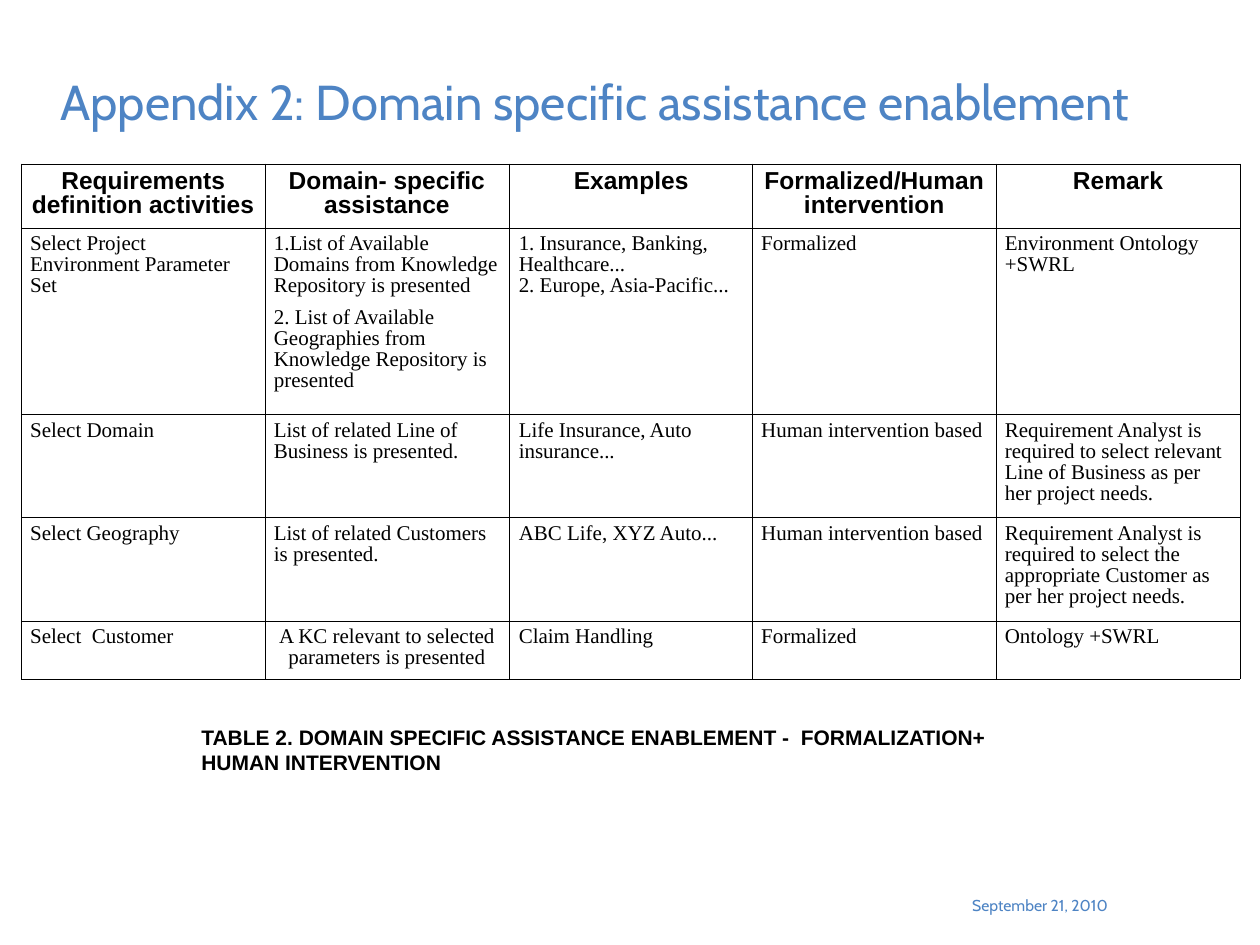
import pptx
import pptx.util
import pptx.dml.color
import pptx.enum.text
import pptx.oxml
import pptx.oxml.ns

COLORS = {"accent": "4E84C4", "ink": "000000"}
ALIGN = pptx.enum.text.PP_ALIGN
ANCHOR = pptx.enum.text.MSO_ANCHOR
AUTO = pptx.enum.text.MSO_AUTO_SIZE


def write(tf, text, font="Times New Roman", size=12, color="ink", bold=False,
          align=ALIGN.LEFT, line=1.0, after=0, indent=0):
    tf.word_wrap = True
    for i, part in enumerate(text.split("\n")):
        p = tf.paragraphs[0] if i == 0 else tf.add_paragraph()
        p.alignment = align
        p.line_spacing = line
        p.space_before = pptx.util.Pt(0)
        p.space_after = pptx.util.Pt(after)
        if indent:
            p._p.get_or_add_pPr().set("marL", str(pptx.util.Inches(indent)))
        r = p.add_run()
        r.text = part
        r.font.name = font
        r.font.size = pptx.util.Pt(size)
        r.font.bold = bold
        r.font.color.rgb = pptx.dml.color.RGBColor.from_string(COLORS[color])


def add_borders(cell):
    tcPr = cell._tc.get_or_add_tcPr()
    for i, side in enumerate(("lnL", "lnR", "lnT", "lnB")):
        tcPr.insert(i, pptx.oxml.parse_xml(
            f'<a:{side} {pptx.oxml.ns.nsdecls("a")} w="{pptx.util.Pt(0.11)}">'
            f'<a:solidFill><a:srgbClr val="{COLORS["ink"]}"/></a:solidFill></a:{side}>'))


prs = pptx.Presentation()
prs.slide_width = pptx.util.Inches(10)
prs.slide_height = pptx.util.Inches(7.5)
W, H = prs.slide_width, prs.slide_height
s = prs.slides.add_slide(prs.slide_layouts[5])

title = s.shapes.title
title.left, title.top = int(W * 0.038), int(H * 0.063)
title.width, title.height = int(W * 0.923), int(H * 0.087)
tf = title.text_frame
tf.auto_size = AUTO.NONE
tf.vertical_anchor = ANCHOR.MIDDLE
write(tf, "Appendix 2: Domain specific assistance enablement",
      font="Cabin", size=28, color="accent")

date = s.shapes.add_textbox(int(W * 0.735), int(H * 0.941), int(W * 0.154), int(H * 0.047))
write(date.text_frame, "September 21, 2010", font="Cabin", size=9, color="accent",
      align=ALIGN.RIGHT)

caption = s.shapes.add_textbox(int(W * 0.15), int(H * 0.76), int(W * 0.7), int(H * 0.067))
write(caption.text_frame,
      "TABLE 2. DOMAIN SPECIFIC ASSISTANCE ENABLEMENT -  FORMALIZATION+ HUMAN INTERVENTION",
      font="Arial", bold=True)
caption.text_frame.auto_size = AUTO.SHAPE_TO_FIT_TEXT

rows = [
    ("Requirements definition activities", "Domain- specific assistance", "Examples",
     "Formalized/Human intervention", "Remark"),
    ("Select Project Environment Parameter Set",
     "1.List of Available Domains from Knowledge Repository is presented\n"
     "2. List of Available Geographies from Knowledge Repository is presented",
     "1. Insurance, Banking, Healthcare...\n2. Europe, Asia-Pacific...",
     "Formalized", "Environment Ontology +SWRL"),
    ("Select Domain", "List of related Line of Business is presented.",
     "Life Insurance, Auto insurance...", "Human intervention based",
     "Requirement Analyst is required to select relevant Line of Business as per her project needs."),
    ("Select Geography", "List of related Customers is presented.",
     "ABC Life, XYZ Auto...", "Human intervention based",
     "Requirement Analyst is required to select the appropriate Customer as per her project needs."),
    ("Select  Customer", "A KC relevant to selected parameters is presented",
     "Claim Handling", "Formalized", "Ontology +SWRL"),
]
row_heights = [0.47, 1.48, 0.8, 0.8, 0.4]
frame = s.shapes.add_table(len(rows), len(rows[0]), int(W * 0.017), pptx.util.Inches(1.3),
                           int(W * 0.967), pptx.util.Inches(sum(row_heights)))
table = frame.table
table.first_row = False
table.horz_banding = False
for row, height in zip(table.rows, row_heights):
    row.height = pptx.util.Inches(height)

for i, row in enumerate(rows):
    for j, text in enumerate(row):
        cell = table.cell(i, j)
        cell.margin_left = cell.margin_right = pptx.util.Inches(0.07)
        cell.margin_top = cell.margin_bottom = pptx.util.Inches(0.05)
        cell.fill.background()
        add_borders(cell)
        indent = 0.01 if j == 2 else 0
        if i == 0:
            write(cell.text_frame, text, font="Arial", size=14, bold=True,
                  align=ALIGN.CENTER, line=0.87, after=6, indent=indent)
        else:
            centred = (i, j) == (4, 1)
            write(cell.text_frame, text, align=ALIGN.CENTER if centred else ALIGN.LEFT,
                  line=0.9, after=0 if centred or j == 2 else 6, indent=indent)

prs.save("out.pptx")
